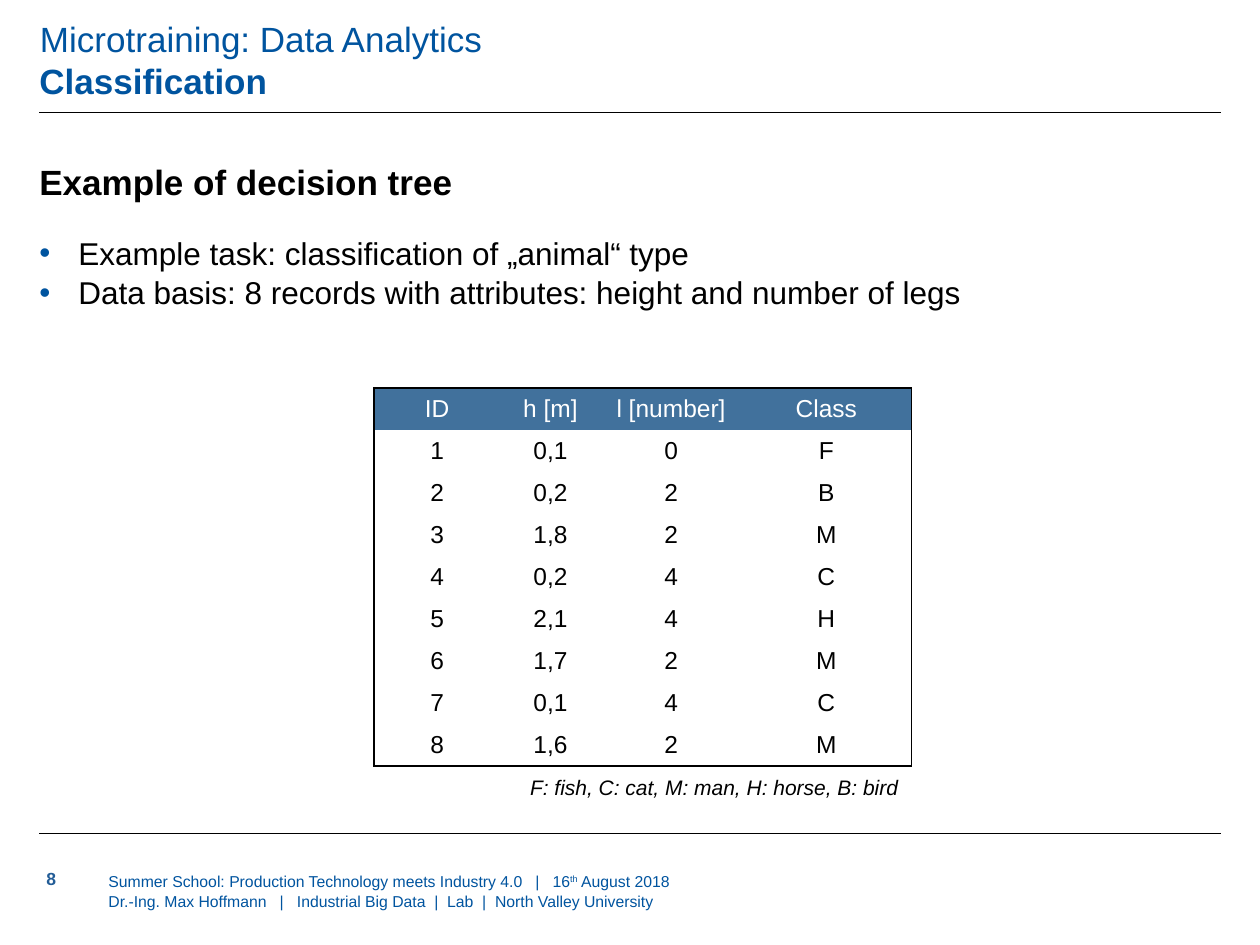
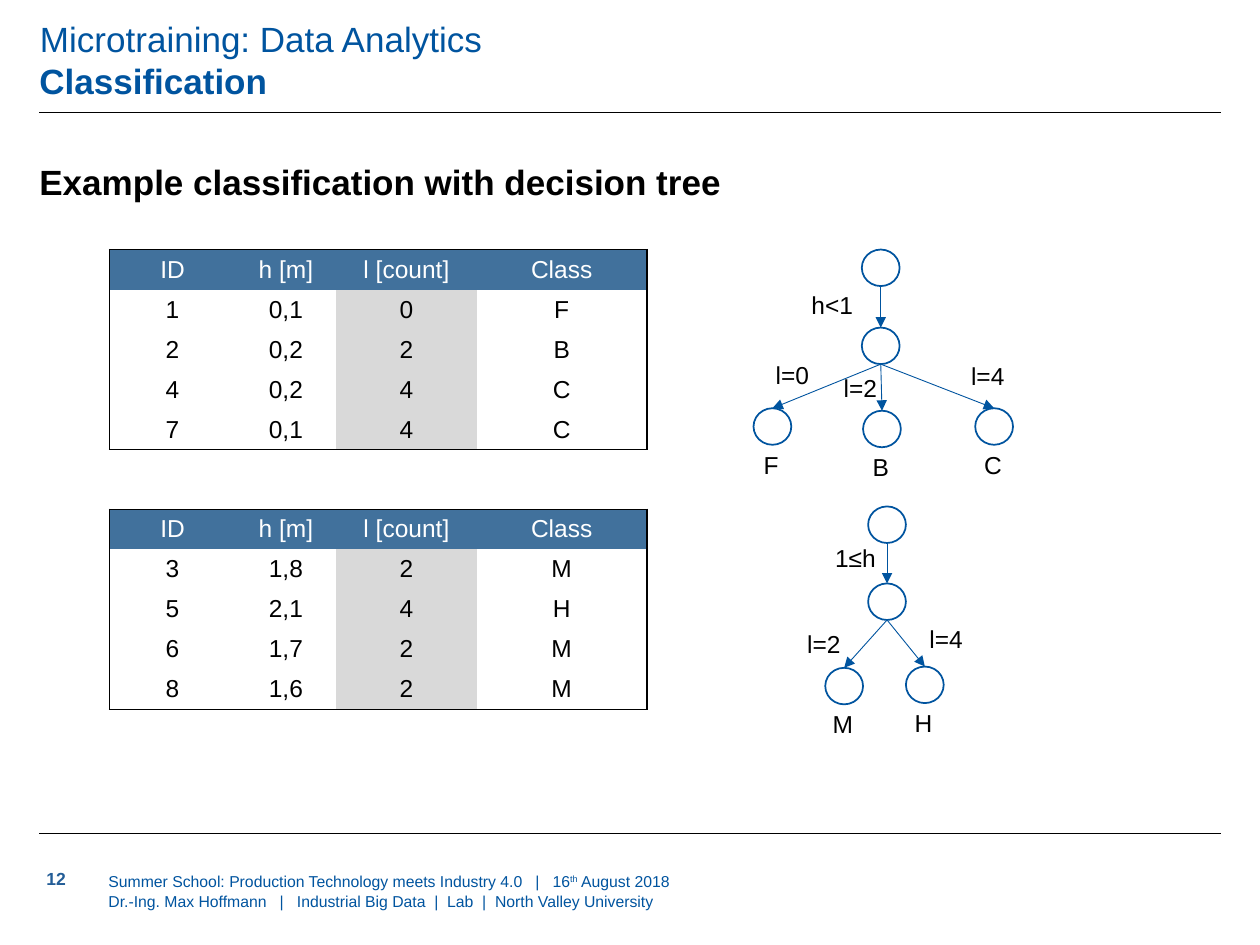
import pptx
import pptx.util
import pptx.dml.color
import pptx.enum.shapes
import pptx.enum.text
import pptx.oxml.ns
from lxml import etree

Pt = pptx.util.Pt
ALIGN = pptx.enum.text.PP_ALIGN
ANCHOR = pptx.enum.text.MSO_ANCHOR
qn = pptx.oxml.ns.qn

COLORS = {"blue": "00549F", "number": "235D97", "head": "41719C",
          "grey": "D9D9D9", "black": "000000", "white": "FFFFFF"}
FONT = "Arial"
LEFT, WIDTH = 22.5, 675
RULES = (64, 476)
NODE_W, NODE_H = 21.6, 20.9
COLS = (72, 57.6, 80.2, 97.2)

COURSE = "Microtraining: Data Analytics"
TOPIC = "Classification"
FOOTER = [
    [("Summer School: Production Technology meets Industry 4.0   |   16", {}),
     ("th", {"sup": True}), (" August 2018", {})],
    [("Dr.-Ing. Max Hoffmann   |   Industrial Big Data  |  Lab  |  "
      "North Valley University", {})],
]
BULLETS = ["Example task: classification of „animal“ type",
           "Data basis: 8 records with attributes: height and number of legs"]
RECORDS = [("1", "0,1", "0", "F"), ("2", "0,2", "2", "B"),
           ("3", "1,8", "2", "M"), ("4", "0,2", "4", "C"),
           ("5", "2,1", "4", "H"), ("6", "1,7", "2", "M"),
           ("7", "0,1", "4", "C"), ("8", "1,6", "2", "M")]
LEGEND = "F: fish, C: cat, M: man, H: horse, B: bird"

# Nodes are left and top; tests are text, left, top, width.
TREES = [
    {"root": (492.5, 142.6), "split": (492.5, 187.2),
     "leaves": {"F": (430.6, 233.3), "B": (493.2, 234.7), "C": (557.3, 233.3)},
     "tests": [("h<1", 444.2, 162, 50.4), ("l=0", 427, 202.3, 42.5),
               ("l=2", 465.8, 209.5, 42.5), ("l=4", 538.6, 203, 42.5)]},
    {"root": (496.1, 289.4), "split": (496.1, 333.4),
     "leaves": {"M": (471.6, 381.6), "H": (517.7, 380.9)},
     "tests": [("1≤h", 457.2, 306.7, 50.4), ("l=2", 445, 355.7, 42.5),
               ("l=4", 514.8, 352.8, 42.5)]},
]


def rgb(name):
    return pptx.dml.color.RGBColor.from_string(COLORS[name])


def add_run(para, text, size, color="black", bold=False, italic=False, sup=False):
    run = para.add_run()
    run.text = text
    font = run.font
    font.name, font.size, font.bold, font.italic = FONT, Pt(size), bold, italic
    font.color.rgb = rgb(color)
    if sup:
        run._r.get_or_add_rPr().set("baseline", "30000")


def set_frame(frame, inset=0, wrap=True, anchor=ANCHOR.TOP):
    frame.auto_size = pptx.enum.text.MSO_AUTO_SIZE.NONE
    frame.word_wrap = wrap
    frame.vertical_anchor = anchor
    frame.margin_left = frame.margin_right = Pt(inset)
    frame.margin_top = frame.margin_bottom = Pt(inset / 2)


def add_text(slide, box, lines, size, color="black", bold=False, inset=0,
             align=ALIGN.LEFT, space=1.0, wrap=True):
    """Add a text box; each line is a list of (text, format) runs."""
    frame = slide.shapes.add_textbox(*map(Pt, box)).text_frame
    set_frame(frame, inset, wrap)
    for i, line in enumerate(lines):
        para = frame.paragraphs[0] if i == 0 else frame.add_paragraph()
        para.alignment, para.line_spacing = align, space
        for text, form in line:
            add_run(para, text, size, color, bold, **form)
    return frame


def add_line(slide, start, end, color="black", arrow=False):
    line = slide.shapes.add_connector(
        pptx.enum.shapes.MSO_CONNECTOR.STRAIGHT, *map(Pt, start + end))
    line.line.color.rgb = rgb(color)
    line.line.width = Pt(0.5)
    if arrow:
        etree.SubElement(line.line._get_or_add_ln(), qn("a:tailEnd"), type="triangle")
    etree.SubElement(line._element.spPr, qn("a:effectLst"))


def add_base(deck, number, heading):
    """Add a slide with the shared title, rules, footer and a heading."""
    slide = deck.slides.add_slide(deck.slide_layouts[5])
    for y in RULES:
        add_line(slide, (LEFT, y), (LEFT + WIDTH, y))
    add_text(slide, (62, 497.5, 348.5, 23), FOOTER, 9, "blue", space=1.05)
    add_text(slide, (19.4, 492.5, 35.3, 19.4), [[(number, {})]], 10, "number",
             True, inset=7.2, wrap=False)
    title = slide.shapes.title
    title.left, title.top, title.width, title.height = map(Pt, (LEFT, 15.8, WIDTH, 42.5))
    set_frame(title.text_frame, anchor=ANCHOR.BOTTOM)
    para = title.text_frame.paragraphs[0]
    para.alignment, para.line_spacing = ALIGN.LEFT, 0.9
    add_run(para, TOPIC, 20, "blue", True)
    add_text(slide, (LEFT, 90.7, WIDTH, 20.2), [[(heading, {})]], 20, bold=True,
             space=1.05)
    add_text(slide, (15.8, 9.4, 492.5, 28.8), [[(COURSE, {})]], 20, "blue",
             inset=7.2, space=0.9)
    return slide


def add_bullets(slide, items):
    frame = add_text(slide, (LEFT, 132.5, WIDTH, 44), [[(t, {})] for t in items], 18,
                     space=1.05)
    for para in frame.paragraphs:
        props = para._p.get_or_add_pPr()
        props.set("marL", str(Pt(22.3)))
        props.set("indent", str(-Pt(22.3)))
        tint = etree.SubElement(props, qn("a:buClr"))
        etree.SubElement(tint, qn("a:srgbClr"), val=COLORS["blue"])
        etree.SubElement(props, qn("a:buFont"), typeface=FONT)
        etree.SubElement(props, qn("a:buChar"), char="•")


def set_cell(cell, text, size=14, color="black", fill=None, edges="",
             align=ALIGN.CENTER, italic=False):
    """Fill a cell; edges names the sides (L, R, T, B) that get a line."""
    para = cell.text_frame.paragraphs[0]
    para.alignment = align
    add_run(para, text, size, color, italic=italic)
    cell.vertical_anchor = ANCHOR.MIDDLE
    cell.margin_top = cell.margin_bottom = Pt(3)
    props = cell._tc.get_or_add_tcPr()
    for side in "LRTB":
        line = etree.SubElement(props, qn("a:ln" + side), w=str(Pt(1)))
        if side in edges:
            paint = etree.SubElement(line, qn("a:solidFill"))
            etree.SubElement(paint, qn("a:srgbClr"), val=COLORS["black"])
        else:
            etree.SubElement(line, qn("a:noFill"))
    if fill:
        cell.fill.solid()
        cell.fill.fore_color.rgb = rgb(fill)
    else:
        cell.fill.background()


def add_grid(slide, left, top, row_h, unit, records, marked=None, legend=None):
    """Add a framed record table, with a marked column or a legend row."""
    rows = [("ID", "h [m]", f"l [{unit}]", "Class")] + records
    count = len(rows) + bool(legend)
    table = slide.shapes.add_table(count, len(COLS), Pt(left), Pt(top),
                                   Pt(sum(COLS)), Pt(row_h * count)).table
    table.first_row = table.horz_banding = False
    for col, width in zip(table.columns, COLS):
        col.width = Pt(width)
    for row in table.rows:
        row.height = Pt(row_h)
    last_r, last_c = len(rows) - 1, len(COLS) - 1
    for r, row in enumerate(rows):
        for c, text in enumerate(row):
            edges = ("L" * (c == 0) + "R" * (c == last_c)
                     + "T" * (r == 0) + "B" * (r == last_r))
            fill = "head" if r == 0 else "grey" if c == marked else None
            set_cell(table.cell(r, c), text, color="black" if r else "white",
                     fill=fill, edges=edges)
    if legend:
        table.rows[count - 1].height = Pt(25.2)
        cells = [table.cell(count - 1, c) for c in range(len(COLS))]
        cells[0].merge(cells[-1])
        set_cell(cells[0], legend, 12, edges="T", align=ALIGN.RIGHT, italic=True)
        for cell in cells[1:]:
            cell.fill.background()


def add_tree(slide, tree):
    root, split, leaves = tree["root"], tree["split"], tree["leaves"]
    links = [(root, split)] + [(split, leaf) for leaf in leaves.values()]
    for x, y in (root, split, *leaves.values()):
        node = slide.shapes.add_shape(pptx.enum.shapes.MSO_SHAPE.OVAL,
                                      Pt(x), Pt(y), Pt(NODE_W), Pt(NODE_H))
        node.shadow.inherit = False
        node.fill.solid()
        node.fill.fore_color.rgb = rgb("white")
        node.line.color.rgb = rgb("blue")
        node.line.width = Pt(1)
    for (x1, y1), (x2, y2) in links:
        add_line(slide, (x1 + NODE_W / 2, y1 + NODE_H), (x2 + NODE_W / 2, y2),
                 "blue", arrow=True)
    for name, (x, y) in leaves.items():
        add_text(slide, (x - 0.7, y + 23.6, NODE_W, 17), [[(name, {})]], 14,
                 align=ALIGN.CENTER)
    for text, x, y, width in tree["tests"]:
        add_text(slide, (x, y, width, 24.5), [[(text, {})]], 14, inset=7.2,
                 align=ALIGN.RIGHT)


def main():
    deck = pptx.Presentation()
    deck.slide_width, deck.slide_height = Pt(720), Pt(540)

    slide = add_base(deck, "8", "Example of decision tree")
    add_bullets(slide, BULLETS)
    add_grid(slide, 213.8, 221.8, 24, "number", RECORDS, legend=LEGEND)

    slide = add_base(deck, "12", "Example classification with decision tree")
    small = [rec for rec in RECORDS if rec[1] < "1"]
    tall = [rec for rec in RECORDS if rec[1] >= "1"]
    for top, group, tree in zip((142.6, 291), (small, tall), TREES):
        add_grid(slide, 62.6, top, 22.9, "count", group, marked=2)
        add_tree(slide, tree)

    deck.save("out.pptx")


if __name__ == "__main__":
    main()
